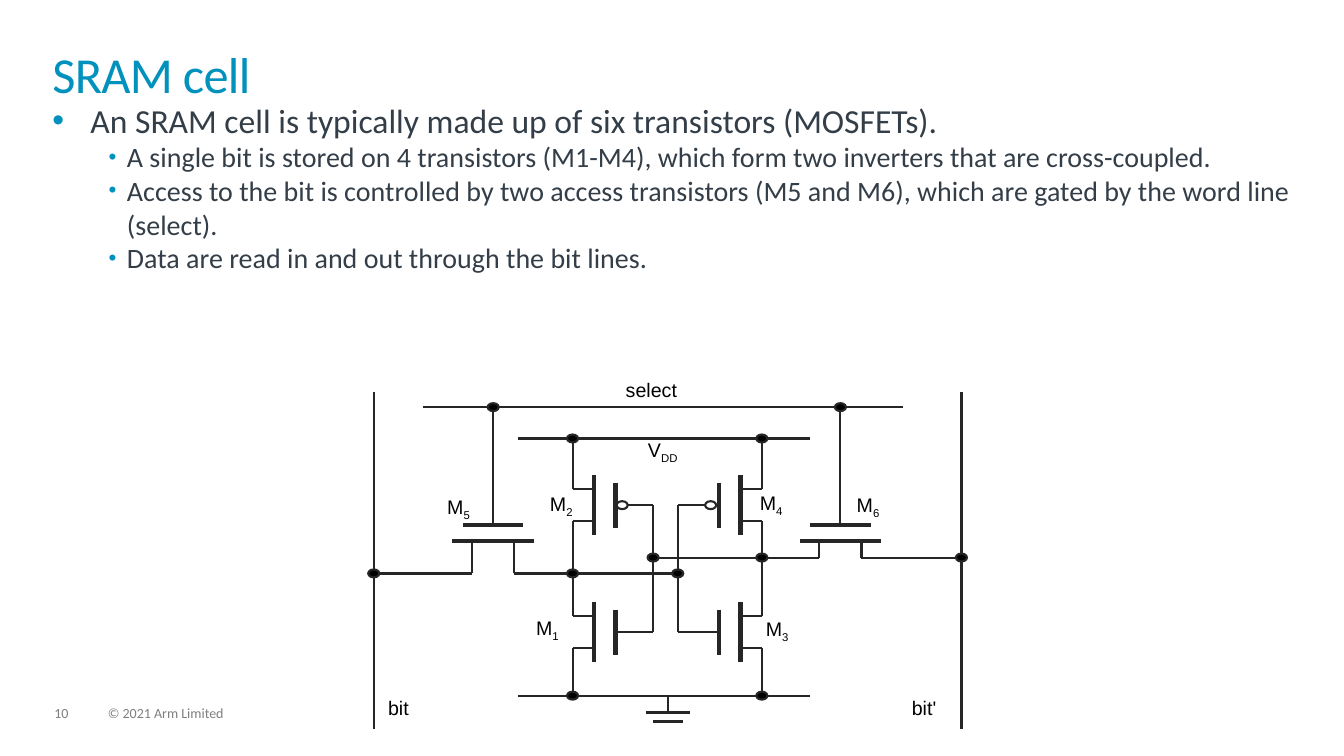
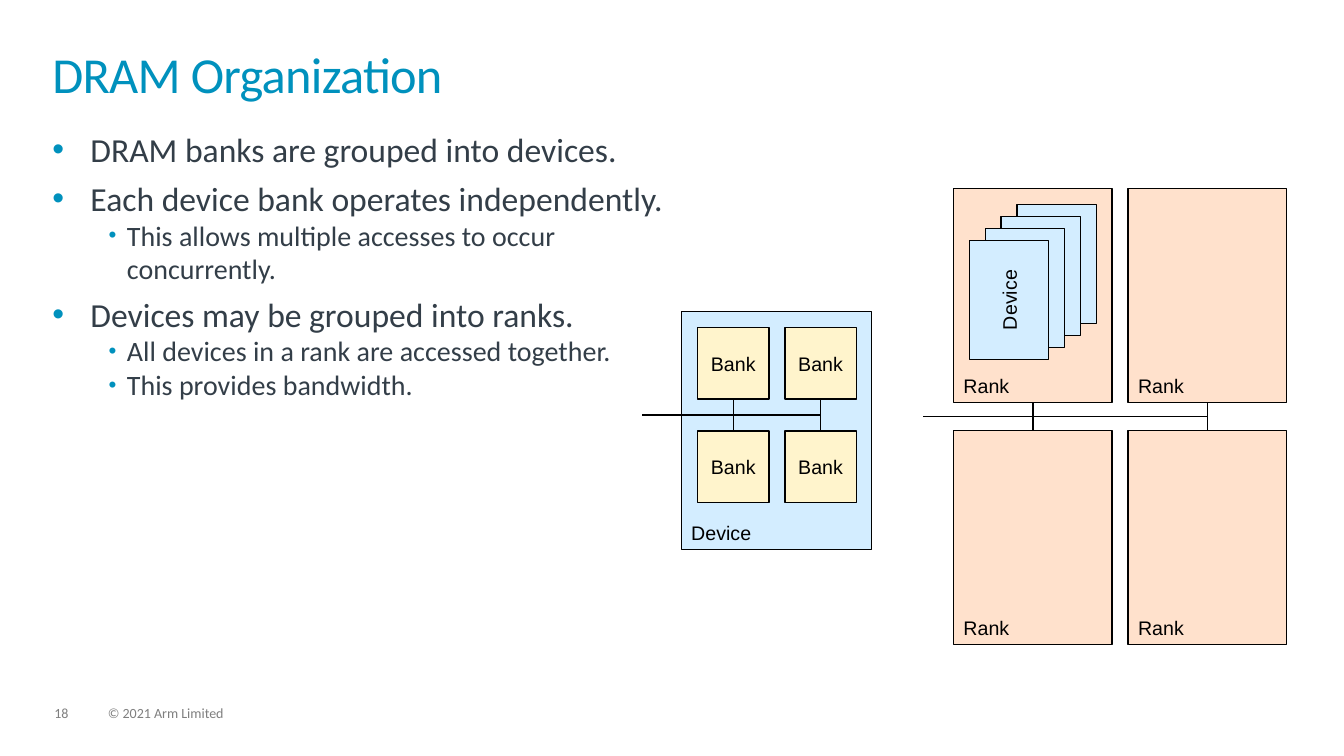
"""Builds two slides on memory: the SRAM cell circuit and the DRAM organization."""
from lxml import etree
from pptx import Presentation
from pptx.dml.color import RGBColor
from pptx.enum.shapes import MSO_CONNECTOR, MSO_SHAPE
from pptx.enum.text import MSO_ANCHOR, PP_ALIGN
from pptx.oxml.ns import qn
from pptx.util import Cm, Pt

STRAIGHT = MSO_CONNECTOR.STRAIGHT
RECTANGLE, OVAL = MSO_SHAPE.RECTANGLE, MSO_SHAPE.OVAL
MIDDLE, BOTTOM = MSO_ANCHOR.MIDDLE, MSO_ANCHOR.BOTTOM
LEFT, CENTER = PP_ALIGN.LEFT, PP_ALIGN.CENTER

BLUE = RGBColor(0x00, 0x91, 0xBD)
SLATE = RGBColor(0x33, 0x3E, 0x48)
GRAY = RGBColor(0x7F, 0x7F, 0x7F)
WIRE = RGBColor(0x26, 0x26, 0x26)
BLACK = RGBColor(0x00, 0x00, 0x00)
WHITE = RGBColor(0xFF, 0xFF, 0xFF)
DEVICE_BLUE = RGBColor(0xD3, 0xED, 0xFF)
BANK_YELLOW = RGBColor(0xFF, 0xF4, 0xCC)
RANK_ORANGE = RGBColor(0xFF, 0xE1, 0xCC)

PAGES = [
    ("SRAM cell", "10", 2.51, 31.19, 4.24, [
        (0, "An SRAM cell is typically made up of six transistors (MOSFETs)."),
        (1, "A single bit is stored on 4 transistors (M1-M4), which form two inverters that are cross-coupled."),
        (1, "Access to the bit is controlled by two access transistors (M5 and M6), "
            "which are gated by the word line (select)."),
        (1, "Data are read in and out through the bit lines."),
    ]),
    ("DRAM Organization", "18", 3.25, 15.6, 13.74, [
        (0, "DRAM banks are grouped into devices."),
        (0, "Each device bank operates independently."),
        (1, "This allows multiple accesses to occur concurrently."),
        (0, "Devices may be grouped into ranks."),
        (1, "All devices in a rank are accessed together."),
        (1, "This provides bandwidth."),
    ]),
]
BULLET_LEVELS = [(24, 0.96, 0.96, 100), (20, 1.88, 0.46, 80)]


def add_text(slide, left, top, width, height, text, size, color, font="Calibri", inset=True):
    """Add a wrapped text box and return its first paragraph."""
    frame = slide.shapes.add_textbox(Cm(left), Cm(top), Cm(width), Cm(height)).text_frame
    frame.word_wrap = True
    if not inset:
        frame.margin_left = frame.margin_right = frame.margin_top = frame.margin_bottom = 0
    paragraph = frame.paragraphs[0]
    if text:
        paragraph.add_run().text = text
    paragraph.font.size = Pt(size)
    paragraph.font.name = font
    paragraph.font.color.rgb = color
    return paragraph


def add_line(slide, x1, y1, x2, y2, width=1.5, color=WIRE):
    """Add a straight connector without shadow and return it."""
    line = slide.shapes.add_connector(STRAIGHT, Cm(x1), Cm(y1), Cm(x2), Cm(y2))
    line.line.width = Pt(width)
    line.line.color.rgb = color
    etree.SubElement(line.element.spPr, qn("a:effectLst"))
    return line


prs = Presentation()
prs.slide_width, prs.slide_height = Cm(33.87), Cm(19.05)

for title, number, body_top, body_width, body_height, bullets in PAGES:
    slide = prs.slides.add_slide(prs.slide_layouts[6])
    for left, width, footer in ((1.37, 0.86, number), (2.72, 12.88, "© 2021 Arm Limited")):
        add_text(slide, left, 17.81, width, 0.38, footer, 10, GRAY, inset=False).line_spacing = 0.9

    heading = add_text(slide, 1.32, 1.32, 31.19, 1.83, title, 36, BLUE, inset=False)
    heading.line_spacing = 0.85
    heading._p.pPr.defRPr.set("spc", "-50")

    body = slide.shapes.add_textbox(Cm(1.32), Cm(body_top), Cm(body_width), Cm(body_height)).text_frame
    body.word_wrap = True
    body.margin_left = body.margin_right = body.margin_top = body.margin_bottom = 0
    for index, (level, text) in enumerate(bullets):
        size, margin, hanging, bullet_percent = BULLET_LEVELS[level]
        item = body.add_paragraph() if index else body.paragraphs[0]
        item.add_run().text = text
        item.level = level
        properties = item._p.get_or_add_pPr()
        properties.set("marL", str(int(Cm(margin))))
        properties.set("indent", str(int(Cm(-hanging))))
        bullet_color = etree.SubElement(properties, qn("a:buClr"))
        etree.SubElement(bullet_color, qn("a:srgbClr")).set("val", str(BLUE))
        etree.SubElement(properties, qn("a:buSzPct")).set("val", str(bullet_percent * 1000))
        etree.SubElement(properties, qn("a:buFont")).set("typeface", "Arial")
        etree.SubElement(properties, qn("a:buChar")).set("char", "•")
        item.space_before = Pt(6 if index and level == 0 else 0)
        item.font.size = Pt(size)
        item.font.name = "Calibri"
        item.font.color.rgb = SLATE

sram, dram = prs.slides

bit_x, bit_bar_x = 9.42, 24.23
left_lead_x, right_lead_x = 14.43, 19.2
left_gate_x, right_gate_x = 16.46, 17.08
left_access_x, right_access_x = 12.43, 21.18
select_y, supply_y, ground_y = 10.26, 11.05, 17.53
cell_y, cell_bar_y = 14.45, 14.05
upper_y, lower_y = 12.73, 15.93
channel_y, plate_y = 13.64, 13.23
leg = 0.53

for x in (bit_x, bit_bar_x):
    add_line(sram, x, 9.88, x, 18.36)
add_line(sram, 10.67, select_y, 22.76, select_y)
for y in (supply_y, ground_y):
    add_line(sram, 13.06, y, 20.42, y)

for x, node_y in ((left_access_x, cell_y), (right_access_x, cell_bar_y)):
    add_line(sram, x - 1.03, channel_y, x + 1.03, channel_y, 3)
    add_line(sram, x - 0.76, plate_y, x + 0.76, plate_y, 3)
    add_line(sram, x, plate_y, x, select_y)
    for leg_x in (x - leg, x + leg):
        add_line(sram, leg_x, node_y, leg_x, channel_y)

for x1, x2, y in (
    (bit_x, left_access_x - leg, cell_y),
    (left_access_x + leg, right_gate_x, cell_y),
    (left_gate_x, right_access_x - leg, cell_bar_y),
    (right_access_x + leg, bit_bar_x, cell_bar_y),
):
    add_line(sram, x1, y, x2, y)

for lead_x, gate_x, side in ((left_lead_x, left_gate_x, 1), (right_lead_x, right_gate_x, -1)):
    channel_x, plate_x = lead_x + side * 0.54, lead_x + side * 1.08
    for y, gate_start in ((upper_y, 1.4), (lower_y, 1.1)):
        for stub_y in (y - 0.4, y + 0.4):
            add_line(sram, lead_x, stub_y, channel_x, stub_y)
        add_line(sram, channel_x, y - 0.76, channel_x, y + 0.76, 3)
        add_line(sram, plate_x, y - 0.57, plate_x, y + 0.57, 3)
        add_line(sram, lead_x + side * gate_start, y, gate_x, y)
    add_line(sram, gate_x, upper_y, gate_x, lower_y)
    for y1, y2 in ((supply_y, upper_y - 0.4), (upper_y + 0.4, lower_y - 0.4), (lower_y + 0.4, ground_y)):
        add_line(sram, lead_x, y1, lead_x, y2)

ground_x = 16.84
add_line(sram, ground_x, ground_y, ground_x, 17.95)
for half_width, y in ((0.56, 17.95), (0.38, 18.19)):
    add_line(sram, ground_x - half_width, y, ground_x + half_width, y, 2.25)

for x, y, fill in (
    (15.68, upper_y, WHITE), (17.91, upper_y, WHITE),
    (bit_x, cell_y, BLACK), (left_lead_x, cell_y, BLACK), (right_gate_x, cell_y, BLACK),
    (left_gate_x, cell_bar_y, BLACK), (right_lead_x, cell_bar_y, BLACK), (bit_bar_x, cell_bar_y, BLACK),
    (left_lead_x, supply_y, BLACK), (right_lead_x, supply_y, BLACK),
    (left_lead_x, ground_y, BLACK), (right_lead_x, ground_y, BLACK),
    (left_access_x, select_y, BLACK), (right_access_x, select_y, BLACK),
):
    node = sram.shapes.add_shape(OVAL, Cm(x - 0.14), Cm(y - 0.1), Cm(0.28), Cm(0.2))
    node.shadow.inherit = False
    node.fill.solid()
    node.fill.fore_color.rgb = fill
    node.line.color.rgb = WIRE
    node.line.width = Pt(1.5)

for left, top, text, subscript in (
    (9.53, 17.4, "bit", ""), (22.73, 17.4, "bit'", ""), (15.52, 9.4, "select", ""),
    (16.08, 10.9, "V", "DD"),
    (13.26, 15.4, "M", "1"), (13.61, 12.27, "M", "2"), (19.05, 15.42, "M", "3"),
    (18.9, 12.25, "M", "4"), (11.02, 12.34, "M", "5"), (21.34, 12.3, "M", "6"),
):
    label = add_text(sram, left, top, 2.6, 0.86, text, 14, BLACK, "Arial")
    if subscript:
        lowered = label.add_run()
        lowered.text = subscript
        lowered._r.get_or_add_rPr().set("baseline", "-25000")

bank_left, bank_top, bank_size, bank_pitch_x, bank_pitch_y = 17.58, 8.26, 1.8, 2.2, 2.6
rank_left, rank_top, rank_width, rank_height = 24.03, 4.75, 4, 5.4
rank_pitch_x, rank_pitch_y = 4.4, 6.1
grid = [(row, column) for row in range(2) for column in range(2)]

blocks = [(17.17, 7.85, 4.8, 6, DEVICE_BLUE, "Device", BOTTOM, LEFT)]
blocks += [(bank_left + column * bank_pitch_x, bank_top + row * bank_pitch_y, bank_size, bank_size,
            BANK_YELLOW, "Bank", MIDDLE, CENTER) for row, column in grid]
blocks += [(rank_left + column * rank_pitch_x, rank_top + row * rank_pitch_y, rank_width, rank_height,
            RANK_ORANGE, "Rank", BOTTOM, LEFT) for row, column in grid]
blocks += [(25.63 - 0.4 * step, 5.16 + 0.3 * step, 2, 3, DEVICE_BLUE,
            "Device" if step == 3 else "", MIDDLE, CENTER) for step in range(4)]

drawn = []
for left, top, width, height, fill, text, anchor, alignment in blocks:
    block = dram.shapes.add_shape(RECTANGLE, Cm(left), Cm(top), Cm(width), Cm(height))
    block.shadow.inherit = False
    block.fill.solid()
    block.fill.fore_color.rgb = fill
    block.line.color.rgb = BLACK
    block.line.width = Pt(1)
    if text:
        block.text_frame.text = text
        block.text_frame.vertical_anchor = anchor
        caption = block.text_frame.paragraphs[0]
        caption.alignment = alignment
        caption.font.size = Pt(14)
        caption.font.name = "Arial"
        caption.font.color.rgb = BLACK
    drawn.append(block)

front_device = drawn[-1]
front_device.text_frame._txBody.bodyPr.set("vert", "vert270")

banks, ranks = drawn[1:5], drawn[5:9]
for x1, x2, y in ((16.18, 20.68, 10.46), (23.27, 30.43, 10.5)):
    add_line(dram, x1, y, x2, y, 1, BLACK)
for upper, lower in ((group[column], group[column + 2]) for group in (banks, ranks) for column in range(2)):
    link = add_line(dram, 0, 0, 1, 1, 1, BLACK)
    link.begin_connect(upper, 2)
    link.end_connect(lower, 0)

prs.save("out.pptx")
